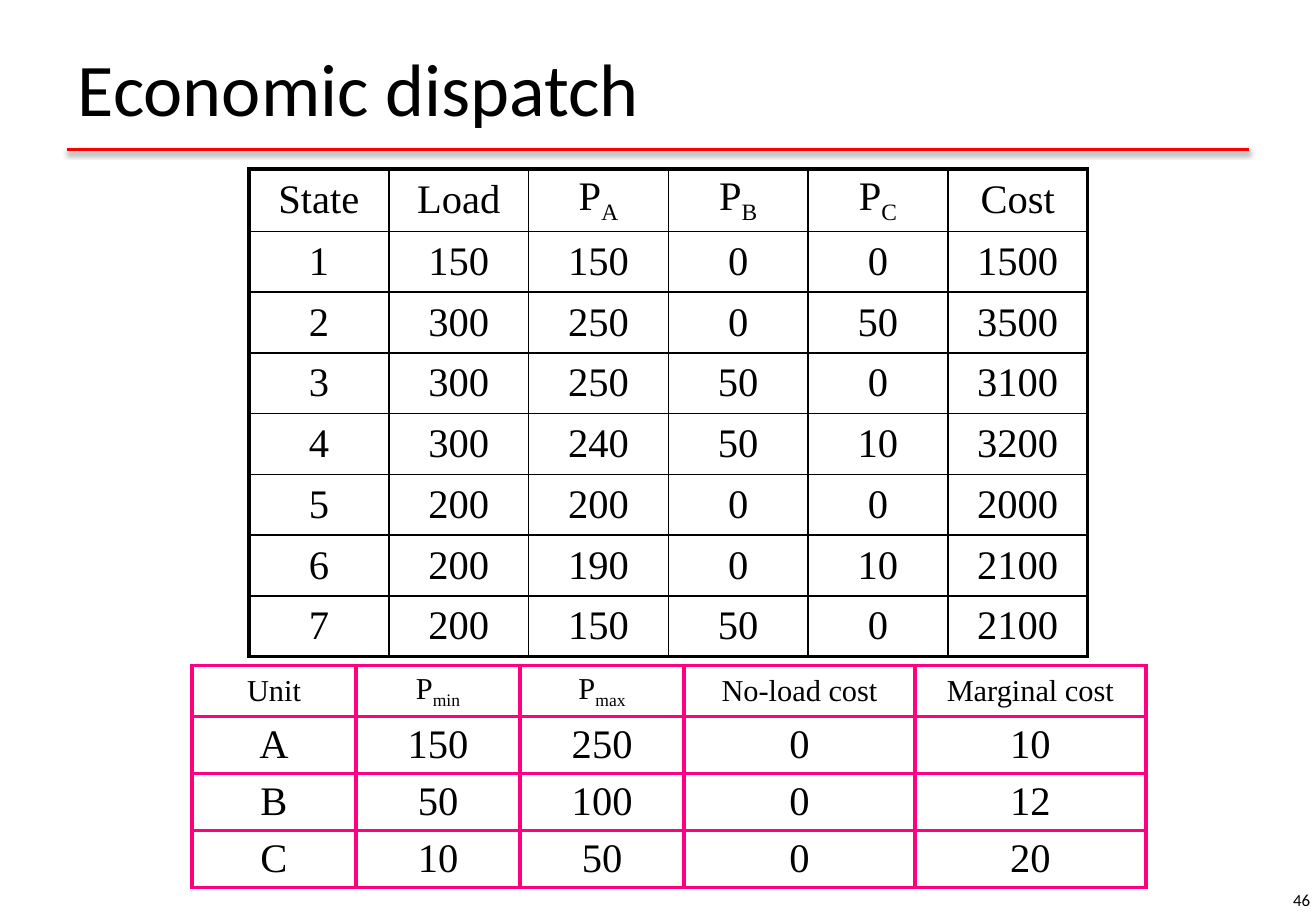
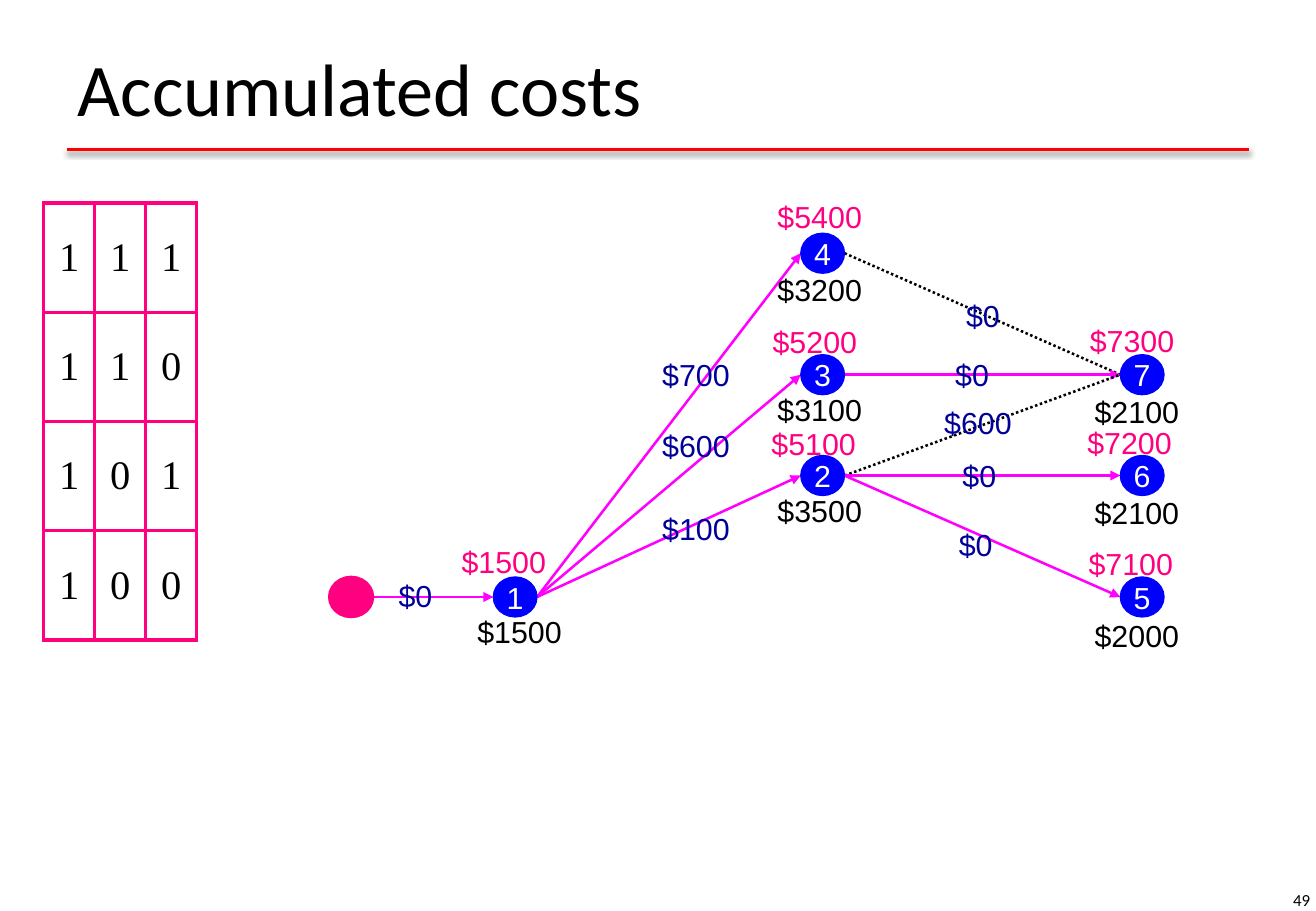
from dataclasses import dataclass

from lxml import etree
from pptx import Presentation
from pptx.dml.color import RGBColor
from pptx.enum.dml import MSO_LINE
from pptx.enum.shapes import MSO_CONNECTOR, MSO_SHAPE
from pptx.enum.text import MSO_ANCHOR, MSO_AUTO_SIZE, PP_ALIGN
from pptx.oxml.ns import qn
from pptx.util import Inches, Pt

STRAIGHT = MSO_CONNECTOR.STRAIGHT
ELLIPSE = MSO_SHAPE.OVAL
DOTTED = MSO_LINE.ROUND_DOT
MIDDLE = MSO_ANCHOR.MIDDLE
LEFT, CENTER, RIGHT = PP_ALIGN.LEFT, PP_ALIGN.CENTER, PP_ALIGN.RIGHT
GROW = MSO_AUTO_SIZE.SHAPE_TO_FIT_TEXT
TITLE_ONLY = 5


@dataclass(frozen=True)
class Theme:
    black: str = "000000"
    white: str = "FFFFFF"
    red: str = "FF0000"
    pink: str = "FF0080"
    blue: str = "0000FF"
    navy: str = "000099"
    magenta: str = "FF00FF"
    title_font: str = "Calibri"
    table_font: str = "Times New Roman"
    diagram_font: str = "Arial"
    title_size: float = 44
    table_size: float = 24
    label_size: float = 18
    number_size: float = 10
    thick: float = 2.25
    thin: float = 1


THEME = Theme()
NODE_WIDTH, NODE_HEIGHT = 0.36, 0.33


def box(*lengths):
    return [Inches(length) for length in lengths]


def style_font(font, name, size, color):
    font.name, font.size = name, Pt(size)
    font.color.rgb = RGBColor.from_string(color)


class Deck:
    def __init__(self, theme):
        self.theme = theme
        self.presentation = Presentation()
        self.presentation.slide_width = Inches(10.83)
        self.presentation.slide_height = Inches(7.5)
        self.slide = None

    def add_slide(self, title, number):
        """Start a slide with the shared rule, title and slide number."""
        theme = self.theme
        layout = self.presentation.slide_layouts[TITLE_ONLY]
        self.slide = self.presentation.slides.add_slide(layout)
        self.line((0.55, 1.23), (10.28, 1.23), theme.red, 2, shadow=True)

        shape = self.slide.shapes.title
        shape.left, shape.top, shape.width, shape.height = box(0.54, 0.13, 9.75, 1.17)
        shape.text_frame.text = title
        shape.text_frame.vertical_anchor = MIDDLE
        paragraph = shape.text_frame.paragraphs[0]
        paragraph.alignment = LEFT
        style_font(paragraph.font, theme.title_font, theme.title_size, theme.black)

        frame = self.text_box(number, (8.35, 7.21, 2.53, 0.4), theme.title_font,
                              theme.number_size, theme.black, RIGHT)
        frame.vertical_anchor = MIDDLE
        frame.word_wrap = True

    def text_box(self, text, bounds, font_name, size, color, alignment=LEFT):
        frame = self.slide.shapes.add_textbox(*box(*bounds)).text_frame
        frame.text = text
        paragraph = frame.paragraphs[0]
        paragraph.alignment = alignment
        style_font(paragraph.font, font_name, size, color)
        return frame

    def label(self, text, position, color, tight=False):
        """Diagram label; a tight one has almost no margins."""
        size = (0.04 + 0.14 * len(text), 0.3) if tight else (0.9, 0.4)
        frame = self.text_box(text, (*position, *size), self.theme.diagram_font,
                              self.theme.label_size, color)
        frame.word_wrap = False
        frame.auto_size = GROW
        if tight:
            frame.margin_left = frame.margin_right = Inches(0.02)
            frame.margin_top = frame.margin_bottom = 0

    def line(self, start, end, color, width=1.5, dash=None, arrow=False, shadow=False):
        connector = self.slide.shapes.add_connector(STRAIGHT, *box(*start, *end))
        connector.line.color.rgb = RGBColor.from_string(color)
        connector.line.width = Pt(width)
        if dash:
            connector.line.dash_style = dash
        properties = connector._element.spPr
        if arrow:
            etree.SubElement(properties.find(qn("a:ln")), qn("a:tailEnd"), type="triangle")
        effects = etree.SubElement(properties, qn("a:effectLst"))
        if shadow:
            outer = etree.SubElement(effects, qn("a:outerShdw"), blurRad="40000",
                                     dist="20000", dir="5400000", rotWithShape="0")
            tint = etree.SubElement(outer, qn("a:srgbClr"), val=self.theme.black)
            etree.SubElement(tint, qn("a:alpha"), val="38000")

    def node(self, position, color, text="", width=0.75):
        shape = self.slide.shapes.add_shape(
            ELLIPSE, *box(*position, NODE_WIDTH, NODE_HEIGHT))
        shape.shadow.inherit = False
        shape.fill.solid()
        shape.fill.fore_color.rgb = RGBColor.from_string(color)
        shape.line.color.rgb = RGBColor.from_string(color)
        shape.line.width = Pt(width)
        if text:
            frame = shape.text_frame
            frame.text = text
            frame.word_wrap = False
            frame.vertical_anchor = MIDDLE
            frame.paragraphs[0].alignment = CENTER
            style_font(frame.paragraphs[0].font, self.theme.diagram_font,
                       self.theme.label_size, self.theme.white)

    def table(self, rows, position, widths, heights, color, inner, header_size=None):
        """Ruled table; an underscore in a cell starts a subscript."""
        theme = self.theme
        frame = self.slide.shapes.add_table(
            len(rows), len(widths), *box(*position, sum(widths), sum(heights)))
        table = frame.table
        table.first_row = table.horz_banding = False
        for column, width in zip(table.columns, widths):
            column.width = Inches(width)
        for row, height in zip(table.rows, heights):
            row.height = Inches(height)
        last_row, last_column = len(rows) - 1, len(widths) - 1
        for i, values in enumerate(rows):
            size = header_size if header_size and i == 0 else theme.table_size
            for j, value in enumerate(values):
                cell = table.cell(i, j)
                outer_sides = {"L": j == 0, "R": j == last_column,
                               "T": i == 0, "B": i == last_row}
                for side, is_outer in outer_sides.items():
                    self.border(cell, side, color, theme.thick if is_outer else inner)
                cell.fill.background()
                cell.vertical_anchor = MIDDLE
                cell.margin_top = cell.margin_bottom = Inches(0.03)
                self.cell_text(cell, value, size)

    def cell_text(self, cell, value, size):
        paragraph = cell.text_frame.paragraphs[0]
        paragraph.alignment = CENTER
        style_font(paragraph.font, self.theme.table_font, size, self.theme.black)
        base, _, subscript = value.partition("_")
        paragraph.add_run().text = base
        if subscript:
            run = paragraph.add_run()
            run.text = subscript
            run._r.get_or_add_rPr().set("baseline", "-25000")

    def border(self, cell, side, color, width):
        properties = cell._tc.get_or_add_tcPr()
        line = etree.SubElement(properties, qn("a:ln" + side), w=str(Pt(width)))
        fill = etree.SubElement(line, qn("a:solidFill"))
        etree.SubElement(fill, qn("a:srgbClr"), val=color)


def build_dispatch(deck):
    theme = deck.theme
    deck.add_slide("Economic dispatch", "46")

    # Dispatch of each state
    states = [
        "State Load P_A P_B P_C Cost",
        "1 150 150 0 0 1500",
        "2 300 250 0 50 3500",
        "3 300 250 50 0 3100",
        "4 300 240 50 10 3200",
        "5 200 200 0 0 2000",
        "6 200 190 0 10 2100",
        "7 200 150 50 0 2100",
    ]
    deck.table([state.split() for state in states], (2.05, 1.39), [1.15] * 6,
               [0.5] * 8, theme.black, theme.thin)

    # Generating units
    units = [
        ["Unit", "P_min", "P_max", "No-load cost", "Marginal cost"],
        ["A", "150", "250", "0", "10"],
        ["B", "50", "100", "0", "12"],
        ["C", "10", "50", "0", "20"],
    ]
    deck.table(units, (1.58, 5.48), [1.35] * 3 + [1.9] * 2, [0.42] + [0.47] * 3,
               theme.pink, theme.thick, theme.label_size)


def build_costs(deck):
    theme = deck.theme
    deck.add_slide("Accumulated costs", "49")

    # Unit combinations
    deck.table(["111", "110", "101", "100"], (0.36, 1.67), [0.42] * 3, [0.9] * 4,
               theme.pink, theme.thick)

    # Node positions: one column per period, one row per combination
    start_x, first_x, second_x, third_x = 2.71, 4.06, 6.59, 9.22
    row_111, row_110, row_101, row_100 = 1.92, 2.92, 3.75, 4.75
    nodes = {
        "start": (start_x, row_100), "1": (first_x, row_100),
        "2": (second_x, row_101), "3": (second_x, row_110), "4": (second_x, row_111),
        "5": (third_x, row_100), "6": (third_x, row_101), "7": (third_x, row_110),
    }

    # Transitions: origin, target, on a cheapest way, cost, label position
    transitions = [
        ("start", "1", True, "$0", (3.26, 4.75)),
        ("1", "4", True, "$700", (5.43, 2.93)),
        ("1", "3", True, "$600", (5.43, 3.52)),
        ("1", "2", True, "$100", (5.43, 4.2)),
        ("4", "7", False, "$0", (7.93, 2.45)),
        ("3", "7", True, "$0", (7.84, 2.93)),
        ("2", "5", True, "$0", (7.87, 4.33)),
        ("2", "7", False, "$600", (7.75, 3.33)),
        ("2", "6", True, "$0", (7.9, 3.76)),
    ]
    for origin, target, cheapest, _, _ in transitions:
        (from_x, from_y), (to_x, to_y) = nodes[origin], nodes[target]
        deck.line((from_x + NODE_WIDTH, from_y + NODE_HEIGHT / 2),
                  (to_x, to_y + NODE_HEIGHT / 2),
                  theme.magenta if cheapest else theme.black,
                  dash=None if cheapest else DOTTED, arrow=cheapest)

    for name, position in nodes.items():
        if name == "start":
            deck.node(position, theme.pink, width=1.5)
        else:
            deck.node(position, theme.blue, name)

    # Running cost below and accumulated cost above each node
    node_costs = [
        ("$1500", (3.83, 5), "$1500", (3.7, 4.42)),
        ("$3500", (6.3, 4), "$5100", (6.25, 3.45)),
        ("$3100", (6.3, 3.17), "$5200", (6.26, 2.61)),
        ("$3200", (6.3, 2.18), "$5400", (6.3, 1.58)),
        ("$2000", (8.91, 5.03), "$7100", (8.86, 4.44)),
        ("$2100", (8.91, 4.02), "$7200", (8.85, 3.44)),
        ("$2100", (8.91, 3.19), "$7300", (8.87, 2.6)),
    ]
    for running, below, accumulated, above in node_costs:
        deck.label(running, below, theme.black)
        deck.label(accumulated, above, theme.pink)
    for _, _, _, cost, position in transitions:
        deck.label(cost, position, theme.navy, tight=True)


def main():
    deck = Deck(THEME)
    build_dispatch(deck)
    build_costs(deck)
    deck.presentation.save("out.pptx")


if __name__ == "__main__":
    main()
